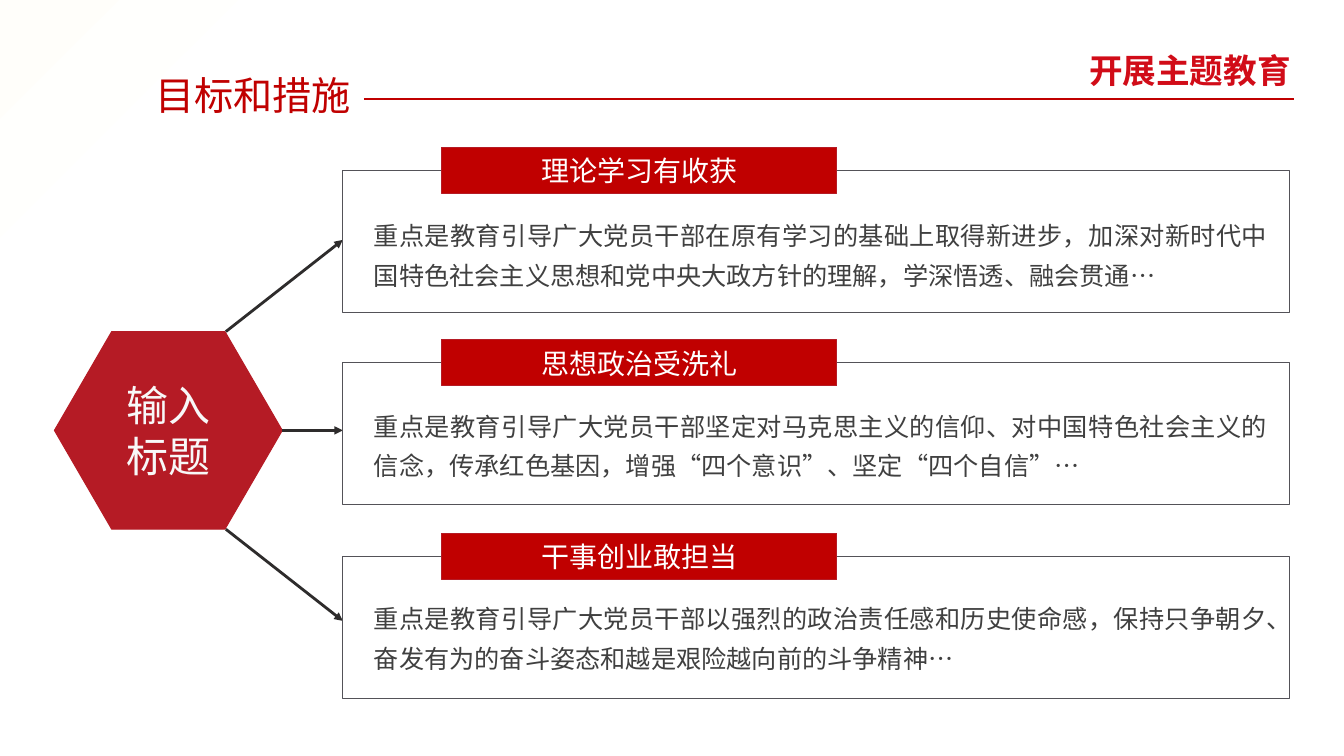
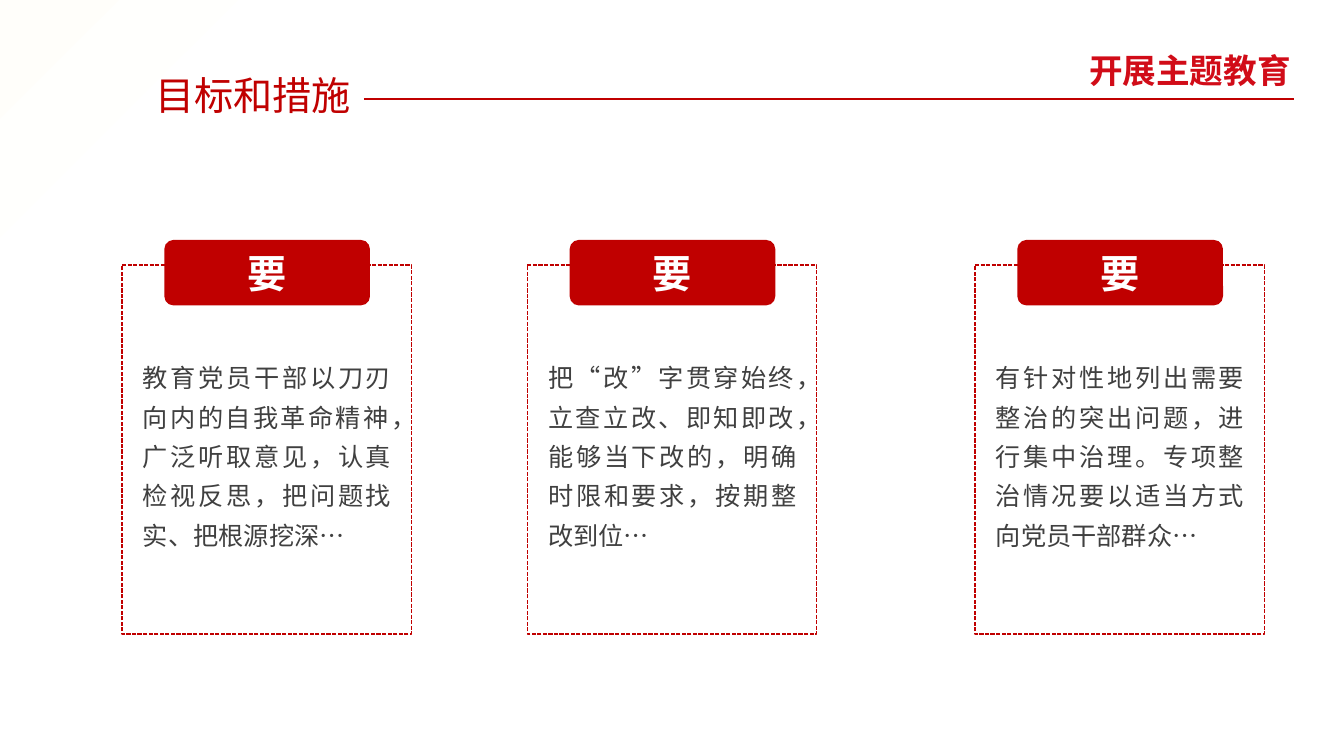
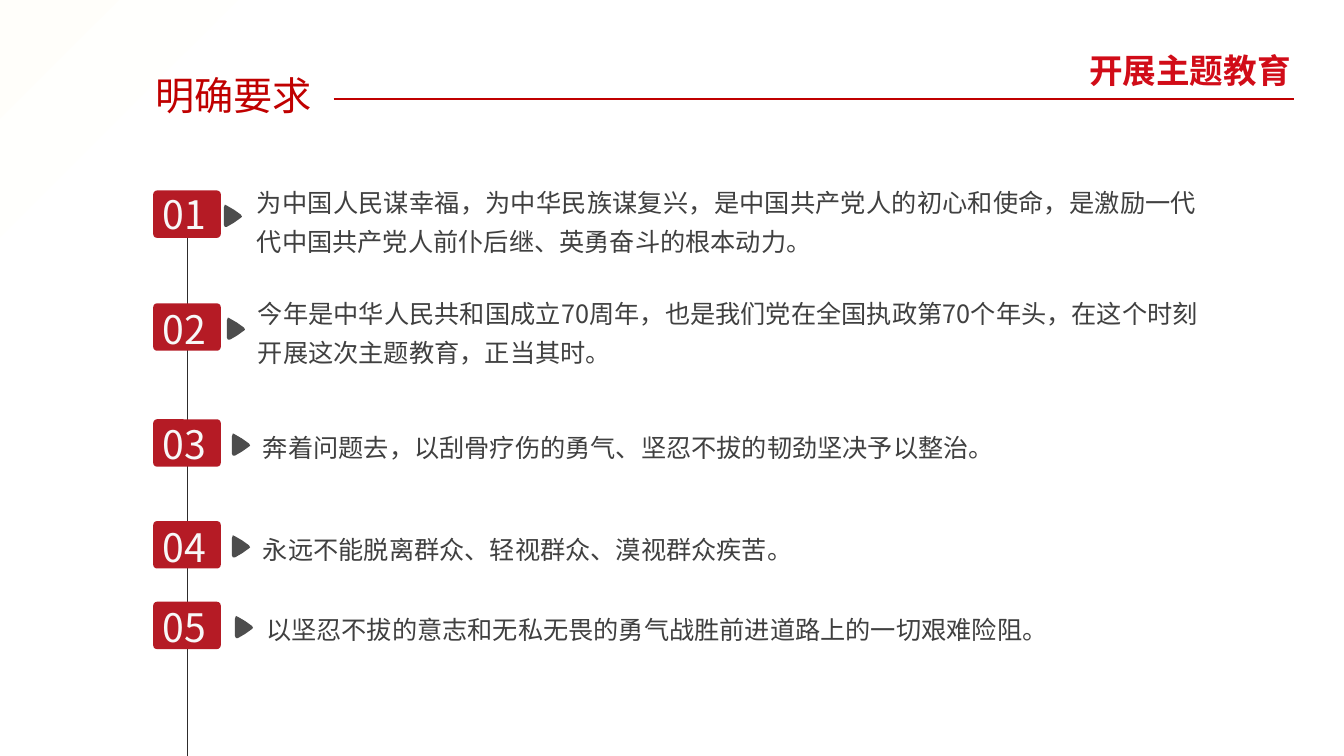
from lxml.etree import SubElement
from pptx import Presentation
from pptx.dml.color import RGBColor
from pptx.enum.dml import MSO_LINE
from pptx.enum.lang import MSO_LANGUAGE_ID
from pptx.enum.shapes import MSO_CONNECTOR, MSO_SHAPE
from pptx.enum.text import MSO_ANCHOR, MSO_AUTO_SIZE, PP_ALIGN
from pptx.oxml import parse_xml
from pptx.oxml.ns import nsdecls, qn
from pptx.util import Pt

# Shared scale, colours and type
PX = 9144  # 100 px to the inch
WIDTH, HEIGHT = 1333, 750
FONT = "Noto Sans CJK SC"
RED = RGBColor(0xC0, 0x00, 0x00)
LABEL_RED = RGBColor(0xD1, 0x0C, 0x18)
BADGE_RED = RGBColor(0xB5, 0x1B, 0x25)
WHITE = RGBColor(0xFF, 0xFF, 0xFF)
PALE = RGBColor(0xF8, 0xF8, 0xF8)
INK = RGBColor(0x2E, 0x2C, 0x2C)
FRAME = RGBColor(0x53, 0x52, 0x58)
POINTER = RGBColor(0x4D, 0x4D, 0x4D)
BODY = RGBColor(0x40, 0x40, 0x40)

LABEL_TEXT = {"size": Pt(24), "bold": True}
TITLE_TEXT = {"size": Pt(28)}
HEXAGON_TEXT = {"size": Pt(30)}
BANNER_TEXT = {"size": Pt(20)}
BODY_TEXT = {"size": Pt(18)}
CARD_TEXT = {"size": Pt(28), "bold": True}
SHARED_TEXT = {"name": FONT, "language_id": MSO_LANGUAGE_ID.SIMPLIFIED_CHINESE}

POINTER_OUTLINE = ((17, 10), (10, 5), (3, 1), (1, 0), (0, 3), (0, 20),
                   (1, 22), (3, 22), (10, 18), (17, 13), (18, 12))

# Slide content: panel top, text top, heading, text
GOALS = (
    (169, 205, "理论学习有收获",
     "重点是教育引导广大党员干部在原有学习的基础上取得新进步，加深对新时代中国特色社会主义思想和党中央大政方针的理解，学深悟透、融会贯通…"),
    (360, 394, "思想政治受洗礼",
     "重点是教育引导广大党员干部坚定对马克思主义的信仰、对中国特色社会主义的信念，传承红色基因，增强“四个意识”、坚定“四个自信”…"),
    (552, 585, "干事创业敢担当",
     "重点是教育引导广大党员干部以强烈的政治责任感和历史使命感，保持只争朝夕、奋发有为的奋斗姿态和越是艰险越向前的斗争精神…"),
)
# Card left, text
MEASURES = (
    (121, "教育党员干部以刀刃向内的自我革命精神，广泛听取意见，认真检视反思，把问题找实、把根源挖深…"),
    (523, "把“改”字贯穿始终，立查立改、即知即改，能够当下改的，明确时限和要求，按期整改到位…"),
    (967, "有针对性地列出需要整治的突出问题，进行集中治理。专项整治情况要以适当方式向党员干部群众…"),
)
# Badge top, number top, pointer left, text left, text top, text height, text
DEMANDS = (
    (189, 184, 222, 245, 172, 86,
     "为中国人民谋幸福，为中华民族谋复兴，是中国共产党人的初心和使命，是激励一代代中国共产党人前仆后继、英勇奋斗的根本动力。"),
    (301, 298, 225, 246, 282, 86,
     "今年是中华人民共和国成立70周年，也是我们党在全国执政第70个年头，在这个时刻开展这次主题教育，正当其时。"),
    (416, 412, 230, 251, 415, 46, "奔着问题去，以刮骨疗伤的勇气、坚忍不拔的韧劲坚决予以整治。"),
    (517, 514, 230, 251, 516, 46, "永远不能脱离群众、轻视群众、漠视群众疾苦。"),
    (597, 594, 233, 254, 596, 46, "以坚忍不拔的意志和无私无畏的勇气战胜前进道路上的一切艰难险阻。"),
)


def scaled(*lengths):
    return [length * PX for length in lengths]


def write(frame, text, style, color, align=PP_ALIGN.LEFT, spacing=None):
    """Fill a text frame, one paragraph for each line of text."""
    for index, line in enumerate(text.split("\n")):
        para = frame.add_paragraph() if index else frame.paragraphs[0]
        para.alignment = align
        if spacing:
            para.line_spacing = spacing
        span = para.add_run()
        span.text = line
        for name, value in {**SHARED_TEXT, **style}.items():
            setattr(span.font, name, value)
        span.font.color.rgb = color
        SubElement(span.font._element, qn("a:ea"), typeface=FONT)


def add_text(page, area, text, style, color, wrap=True, **layout):
    box = page.shapes.add_textbox(*scaled(*area))
    box.text_frame.word_wrap = wrap
    box.text_frame.auto_size = MSO_AUTO_SIZE.SHAPE_TO_FIT_TEXT
    write(box.text_frame, text, style, color, **layout)


def add_body(page, area, text):
    add_text(page, area, text, BODY_TEXT, BODY,
             align=PP_ALIGN.JUSTIFY, spacing=1.3)


def paint(shape, fill=None, line=None, width=0, dash=None):
    shape.shadow.inherit = False
    if fill is None:
        shape.fill.background()
    else:
        shape.fill.solid()
        shape.fill.fore_color.rgb = fill
    if line is None:
        shape.line.fill.background()
    else:
        shape.line.color.rgb = line
        shape.line.width = Pt(width)
        if dash:
            shape.line.dash_style = dash


def add_block(page, kind, area, adjust=None, **look):
    block = page.shapes.add_shape(kind, *scaled(*area))
    if adjust is not None:
        block.adjustments[0] = adjust
    paint(block, **look)
    return block


def add_caption(block, text, style, color):
    """Centre text inside a filled block."""
    block.text_frame.word_wrap = True
    block.text_frame.vertical_anchor = MSO_ANCHOR.MIDDLE
    write(block.text_frame, text, style, color, PP_ALIGN.CENTER)


def add_line(page, start, end, color, width, arrow=False):
    line = page.shapes.add_connector(MSO_CONNECTOR.STRAIGHT,
                                     *scaled(*start, *end))
    line.line.color.rgb = color
    line.line.width = Pt(width)
    properties = line._element.spPr
    if arrow:
        SubElement(properties.find(qn("a:ln")), qn("a:tailEnd"), type="triangle")
    SubElement(properties, qn("a:effectLst"))


def add_pointer(page, left, top):
    """Small right-pointing triangle with rounded corners."""
    builder = page.shapes.build_freeform(*POINTER_OUTLINE[0], scale=PX)
    builder.add_line_segments(POINTER_OUTLINE[1:], close=True)
    paint(builder.convert_to_shape(*scaled(left, top)), fill=POINTER)


def set_background(deck):
    """Give the master a white ground with a cream top left corner."""
    fill = deck.slide_master.background.fill
    fill.gradient()
    old = deck.slide_master._element.find(".//" + qn("a:gradFill"))
    stops = "".join(
        f'<a:gs pos="{place}"><a:srgbClr val="{color}"/></a:gs>'
        for place, color in ((0, "FFFFFF"), (83000, "FFFFFF"), (100000, "FFFEFA")))
    old.getparent().replace(old, parse_xml(
        f'<a:gradFill {nsdecls("a")} rotWithShape="1"><a:gsLst>{stops}</a:gsLst>'
        '<a:path path="circle"><a:fillToRect l="100000" t="100000"/></a:path>'
        '</a:gradFill>'))


def add_page(deck, title, rule_left):
    page = deck.slides.add_slide(deck.slide_layouts[6])
    add_text(page, (1068, 45, 222, 50), "开展主题教育", LABEL_TEXT, LABEL_RED,
             wrap=False, align=PP_ALIGN.RIGHT)
    add_line(page, (rule_left, 98), (1283, 98), RED, 1.5)
    add_text(page, (144, 61, 326, 59), title, TITLE_TEXT, RED, spacing=1.1)
    return page


def build_goals(deck):
    page = add_page(deck, "目标和措施", 361)
    hexagon = add_block(page, MSO_SHAPE.HEXAGON, (54, 329, 226, 196), 0.29,
                        fill=BADGE_RED, line=BADGE_RED)
    add_caption(hexagon, "输入\n标题", HEXAGON_TEXT, PALE)
    for index, corner in enumerate(((224, 329), (280, 427), (224, 525))):
        add_line(page, corner, (340, 238 + 189 * index), INK, 0, arrow=True)
    for top, text_top, heading, text in GOALS:
        add_block(page, MSO_SHAPE.RECTANGLE, (340, top, 939, 141), line=FRAME)
        banner = add_block(page, MSO_SHAPE.RECTANGLE, (438, top - 23, 392, 46),
                           fill=RED, line=BADGE_RED)
        add_caption(banner, heading, BANNER_TEXT, WHITE)
        add_body(page, (361, text_top, 906, 86), text)


def build_measures(deck):
    page = add_page(deck, "目标和措施", 361)
    for left, text in MEASURES:
        add_block(page, MSO_SHAPE.ROUNDED_RECTANGLE, (left, 263, 287, 366), 0,
                  line=RED, width=1, dash=MSO_LINE.SQUARE_DOT)
        heading = add_block(page, MSO_SHAPE.ROUNDED_RECTANGLE,
                            (left + 42, 238, 204, 65), 0.14, fill=RED)
        add_caption(heading, "要", CARD_TEXT, WHITE)
        add_body(page, (left + 11, 346, 266, 204), text)


def build_demands(deck):
    page = add_page(deck, "明确要求", 331)
    add_line(page, (186, 212), (186, HEIGHT), INK, 1)
    for number, row in enumerate(DEMANDS, 1):
        top, number_top, pointer_left, left, text_top, height, text = row
        add_pointer(page, pointer_left, top + 14)
        add_block(page, MSO_SHAPE.ROUNDED_RECTANGLE, (152, top, 67, 47), 0.08,
                  fill=BADGE_RED)
        add_text(page, (144, number_top, 78, 57), f"{number:02}", TITLE_TEXT,
                 PALE, align=PP_ALIGN.CENTER)
        add_body(page, (left, text_top, 952, height), text)


def main():
    deck = Presentation()
    deck.slide_width, deck.slide_height = scaled(WIDTH, HEIGHT)
    set_background(deck)
    build_goals(deck)
    build_measures(deck)
    build_demands(deck)
    deck.save("out.pptx")


if __name__ == "__main__":
    main()
